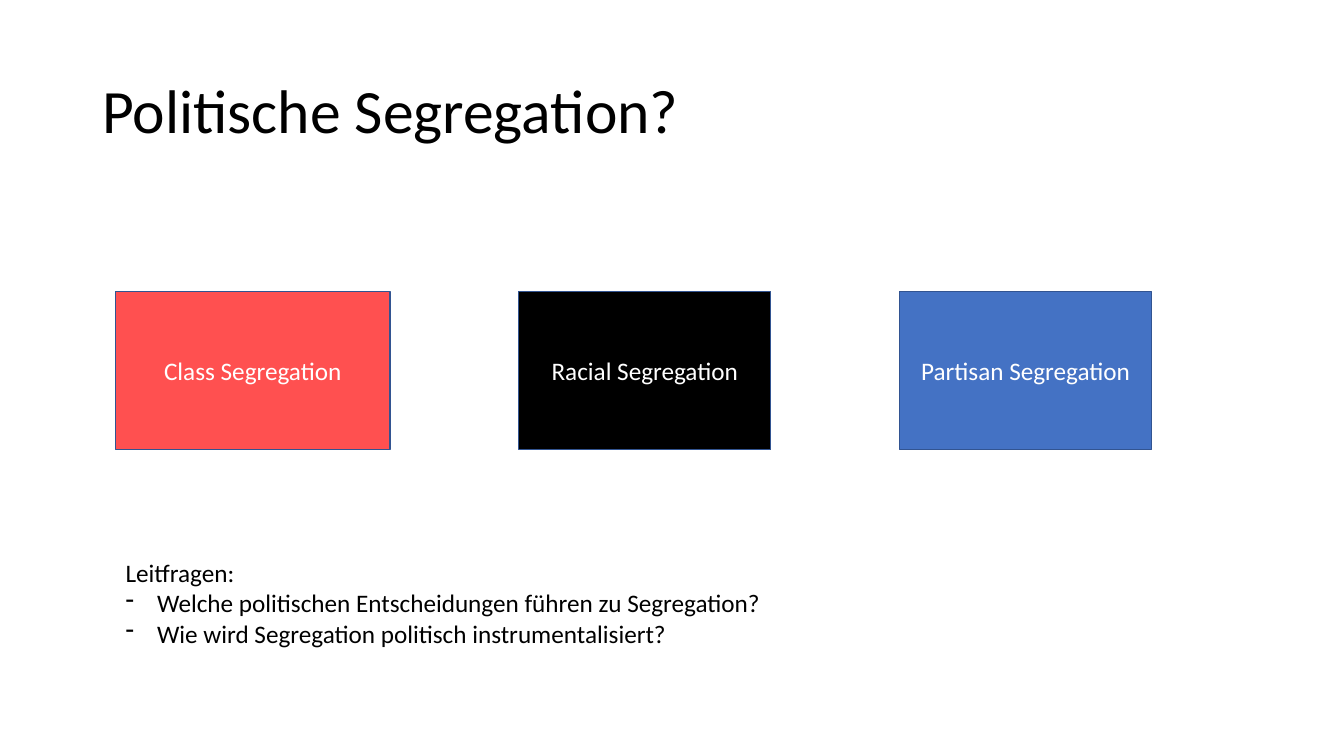
from lxml.etree import SubElement
from pptx import Presentation
from pptx.dml.color import RGBColor
from pptx.enum.shapes import MSO_SHAPE as SHAPE
from pptx.enum.text import MSO_ANCHOR as ANCHOR, PP_ALIGN as ALIGN
from pptx.oxml.ns import qn
from pptx.util import Pt

BLACK = RGBColor(0x00, 0x00, 0x00)
WHITE = RGBColor(0xFF, 0xFF, 0xFF)
RED = RGBColor(0xFF, 0x50, 0x50)
BLUE = RGBColor(0x44, 0x72, 0xC4)
OUTLINE = RGBColor(0x32, 0x54, 0x91)
FONT = "Calibri"

LEFT, CONTENT_WIDTH = 82.6, 740
BOX_GAP = 92
INDENT = 22.5

SEGREGATION_TYPES = [
    ("Class Segregation", 196, RED),
    ("Racial Segregation", 180, BLACK),
    ("Partisan Segregation", 180, BLUE),
]
QUESTIONS = [
    "Welche politischen Entscheidungen führen zu Segregation?",
    "Wie wird Segregation politisch instrumentalisiert?",
]


def format_runs(p, size, color):
    for r in p.runs:
        r.font.name = FONT
        r.font.size = Pt(size)
        r.font.color.rgb = color


def add_text_frame(s, left, top, width, height):
    tf = s.shapes.add_textbox(Pt(left), Pt(top), Pt(width), Pt(height)).text_frame
    tf.word_wrap = True
    return tf


def add_title(s, text, left, top, width, height):
    tf = add_text_frame(s, left, top, width, height)
    tf.vertical_anchor = ANCHOR.MIDDLE
    tf.text = text
    p = tf.paragraphs[0]
    p.line_spacing = 0.9
    format_runs(p, 44, BLACK)


def add_type_boxes(s, left, top, height):
    """Place the boxes in a row, separated by equal gaps."""
    for label, width, fill in SEGREGATION_TYPES:
        sp = s.shapes.add_shape(SHAPE.RECTANGLE, Pt(left), Pt(top), Pt(width), Pt(height))
        sp.shadow.inherit = False
        sp.fill.solid()
        sp.fill.fore_color.rgb = fill
        sp.line.color.rgb = OUTLINE
        sp.line.width = Pt(1)
        tf = sp.text_frame
        tf.word_wrap = True
        tf.vertical_anchor = ANCHOR.MIDDLE
        tf.text = label
        p = tf.paragraphs[0]
        p.alignment = ALIGN.CENTER
        format_runs(p, 18, WHITE)
        left += width + BOX_GAP


def add_dash(p):
    pPr = p._p.get_or_add_pPr()
    pPr.set("marL", str(Pt(INDENT)))
    pPr.set("indent", str(-Pt(INDENT)))
    SubElement(pPr, qn("a:buFontTx"))
    SubElement(pPr, qn("a:buChar"), char="-")


def add_questions(s, left, top, width, height):
    tf = add_text_frame(s, left, top, width, height)
    tf.text = "Leitfragen:"
    format_runs(tf.paragraphs[0], 18, BLACK)
    for question in QUESTIONS:
        p = tf.add_paragraph()
        p.text = question
        add_dash(p)
        format_runs(p, 18, BLACK)


def main():
    prs = Presentation()
    prs.slide_width, prs.slide_height = Pt(960), Pt(540)
    s = prs.slides.add_slide(prs.slide_layouts[6])
    add_title(s, "Politische Segregation?", 66, 28.75, 828, 104.4)
    add_type_boxes(s, LEFT, 208.3, 113)
    add_questions(s, LEFT, 394.6, CONTENT_WIDTH, 72.7)
    prs.save("out.pptx")


if __name__ == "__main__":
    main()
